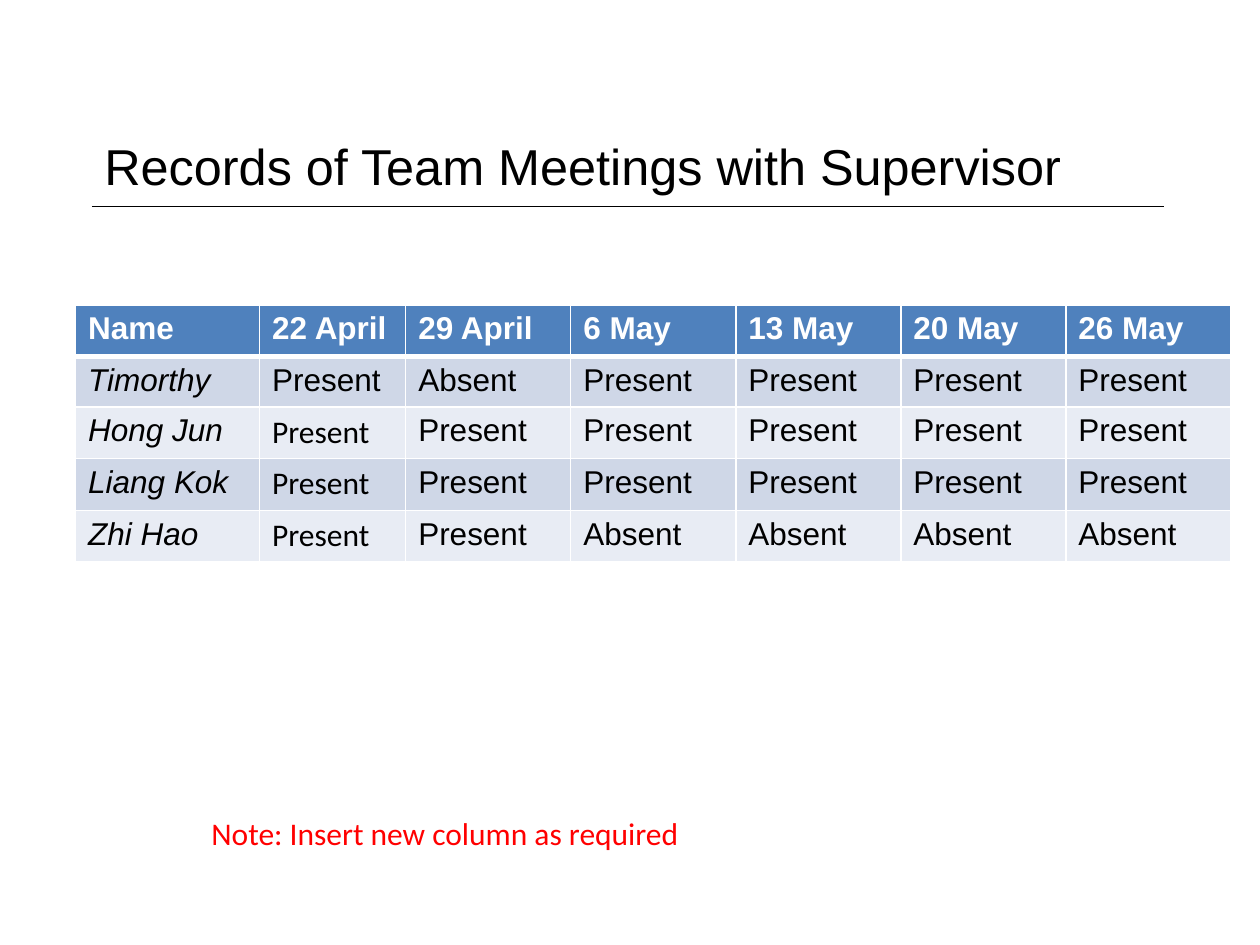
from dataclasses import dataclass

import pptx
import pptx.dml.color
import pptx.enum.shapes
import pptx.enum.text
import pptx.oxml.ns
import pptx.util
from lxml import etree

Inches = pptx.util.Inches


@dataclass(frozen=True)
class Theme:
    heading_font: str = "Arial"
    body_font: str = "Calibri"
    title_size: float = 28.8
    body_size: float = 18
    ink: str = "000000"
    white: str = "FFFFFF"
    note: str = "FF0000"
    header_fill: str = "4F81BD"
    band_fills: tuple = ("CFD7E7", "E8ECF4")
    rule_width: float = 0.75
    grid_width: float = 1
    header_border_width: float = 3


def rgb(color):
    return pptx.dml.color.RGBColor.from_string(color)


class SlideBuilder:
    def __init__(self, slide, theme):
        self.slide = slide
        self.theme = theme

    def style_text(self, frame, size, color, font, bold=False, italic=False):
        for paragraph in frame.paragraphs:
            for run in paragraph.runs:
                run.font.name = font
                run.font.size = pptx.util.Pt(size)
                run.font.color.rgb = rgb(color)
                run.font.bold = bold
                run.font.italic = italic

    def text(self, words, left, top, width, height, size, color, font):
        frame = self.slide.shapes.add_textbox(
            Inches(left), Inches(top), Inches(width), Inches(height)).text_frame
        frame.word_wrap = True
        frame.vertical_anchor = pptx.enum.text.MSO_ANCHOR.MIDDLE
        frame.text = words
        self.style_text(frame, size, color, font)

    def rule(self, left, right, y):
        line = self.slide.shapes.add_connector(
            pptx.enum.shapes.MSO_CONNECTOR.STRAIGHT,
            Inches(left), Inches(y), Inches(right), Inches(y))
        line.line.color.rgb = rgb(self.theme.ink)
        line.line.width = pptx.util.Pt(self.theme.rule_width)
        properties = line._element.spPr
        etree.SubElement(properties, pptx.oxml.ns.qn("a:effectLst"))

    def cell_borders(self, cell, bottom_width, top_width):
        qn = pptx.oxml.ns.qn
        grid = self.theme.grid_width
        properties = cell._tc.get_or_add_tcPr()
        sides = {"L": grid, "R": grid, "T": top_width, "B": bottom_width}
        for side, width in sides.items():
            border = etree.SubElement(
                properties, qn(f"a:ln{side}"), w=str(pptx.util.Pt(width)))
            fill = etree.SubElement(border, qn("a:solidFill"))
            etree.SubElement(fill, qn("a:srgbClr"), val=self.theme.white)

    def attendance_table(self, rows, left, top, widths, heights, body_font_cells):
        theme = self.theme
        table = self.slide.shapes.add_table(
            len(rows), len(widths), Inches(left), Inches(top),
            Inches(sum(widths)), Inches(sum(heights))).table
        for column, width in zip(table.columns, widths):
            column.width = Inches(width)
        for r, (row, height) in enumerate(zip(rows, heights)):
            table.rows[r].height = Inches(height)
            header = r == 0
            fill = theme.header_fill if header else theme.band_fills[(r - 1) % 2]
            bottom = theme.header_border_width if header else theme.grid_width
            above = theme.header_border_width if r == 1 else theme.grid_width
            for c, words in enumerate(row):
                cell = table.cell(r, c)
                cell.text_frame.text = words
                self.cell_borders(cell, bottom, above)
                cell.fill.solid()
                cell.fill.fore_color.rgb = rgb(fill)
                font = theme.body_font if (r, c) in body_font_cells else theme.heading_font
                self.style_text(
                    cell.text_frame, theme.body_size,
                    theme.white if header else theme.ink, font,
                    bold=header, italic=c == 0 and not header)


def main():
    presentation = pptx.Presentation()
    presentation.slide_width = Inches(10)
    presentation.slide_height = Inches(7.5)
    theme = Theme()
    meetings = SlideBuilder(
        presentation.slides.add_slide(presentation.slide_layouts[6]), theme)

    # Title with the rule beneath it
    meetings.rule(0.73, 9.24, 1.64)
    meetings.text("Records of Team Meetings with Supervisor", 0.73, 0.98, 8.51, 0.66,
                  theme.title_size, theme.ink, theme.heading_font)

    # Attendance by member and date
    here, away = "Present", "Absent"
    attendance = [
        ["Name", "22 April", "29 April", "6 May", "13 May", "20 May", "26 May"],
        ["Timorthy", here, away] + [here] * 4,
        ["Hong Jun"] + [here] * 6,
        ["Liang Kok"] + [here] * 6,
        ["Zhi Hao", here, here] + [away] * 4,
    ]
    meetings.attendance_table(
        attendance, 0.6, 2.42,
        widths=[1.46, 1.16] + [1.31] * 5,
        heights=[0.41, 0.4, 0.41, 0.41, 0.41],
        body_font_cells={(2, 1), (3, 1), (4, 1)})

    # Note
    meetings.text("Note: Insert new column as required", 1.58, 6.41, 3.96, 0.4,
                  theme.body_size, theme.note, theme.body_font)

    presentation.save("out.pptx")


if __name__ == "__main__":
    main()
